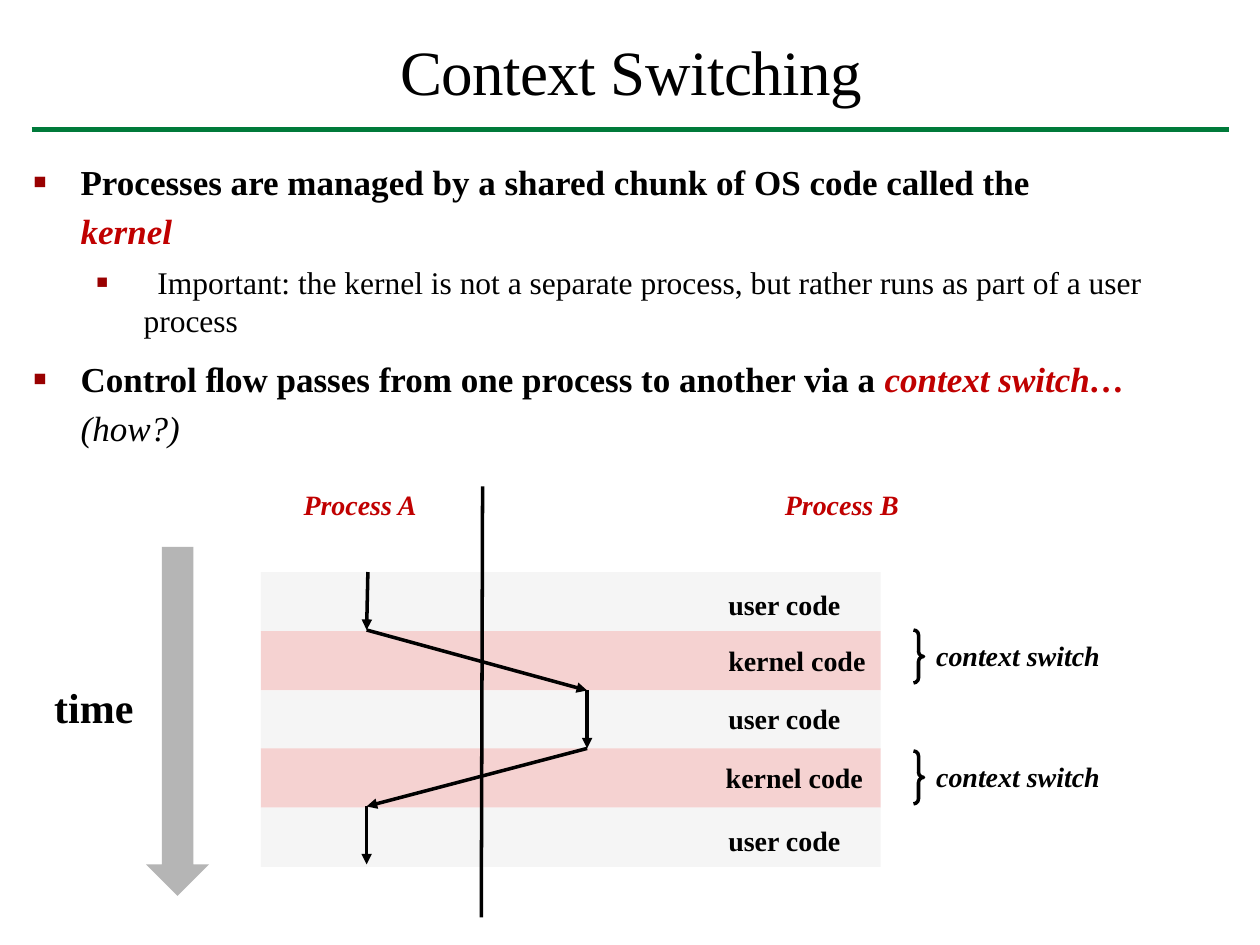
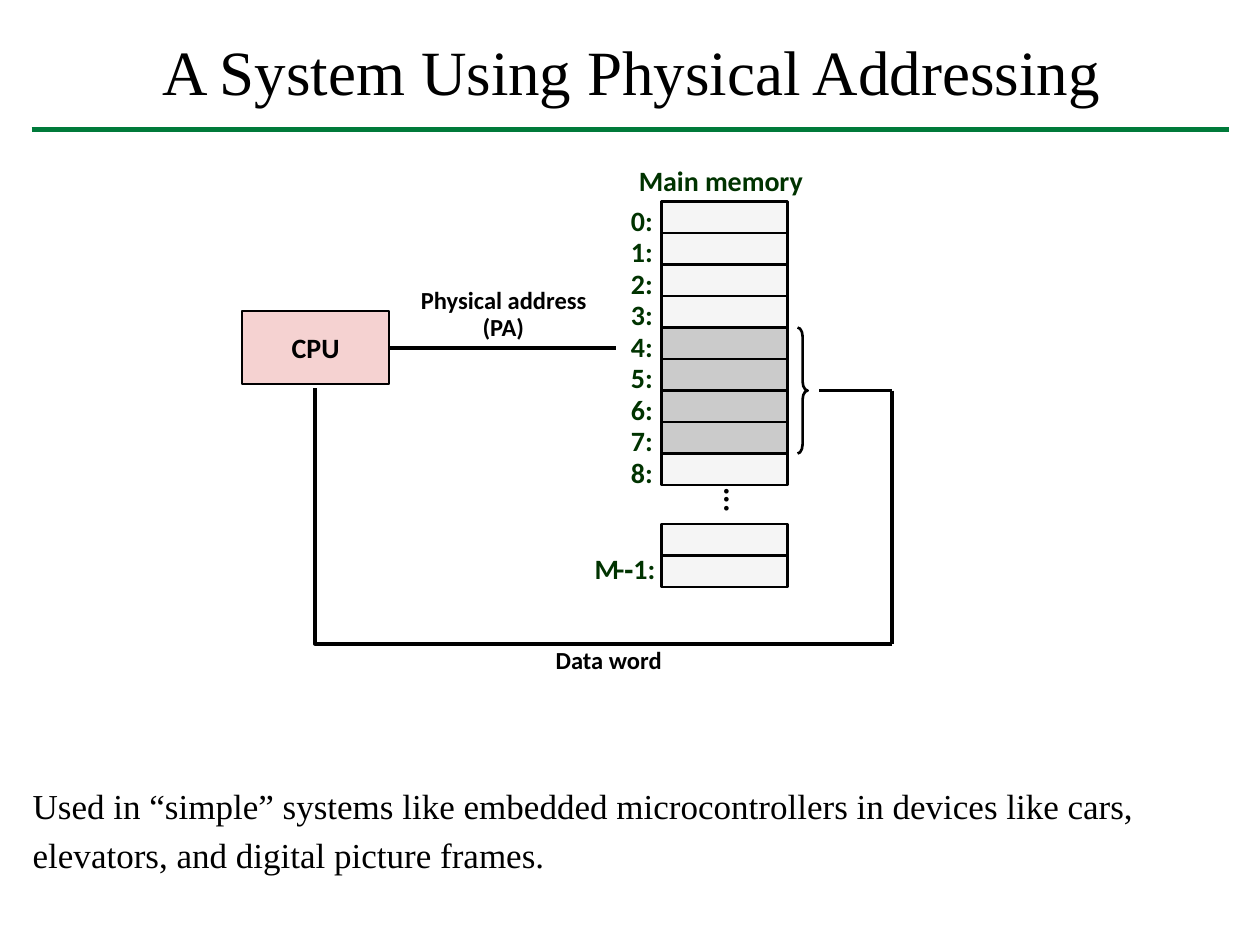
from lxml import etree
from pptx import Presentation
from pptx import util as u
from pptx.dml.color import RGBColor
from pptx.enum import shapes, text
from pptx.oxml import ns

BLACK = RGBColor(0x00, 0x00, 0x00)
RULE_GREEN = RGBColor(0x00, 0x7A, 0x3A)
MEMORY_GREEN = RGBColor(0x00, 0x33, 0x00)
ACCENT_RED = RGBColor(0xC0, 0x00, 0x00)
USER_GRAY = RGBColor(0xF5, 0xF5, 0xF5)
KERNEL_PINK = RGBColor(0xF5, 0xD2, 0xD1)
WORD_GRAY = RGBColor(0xCB, 0xCB, 0xCB)
TIME_GRAY = RGBColor(0xB5, 0xB5, 0xB5)
SERIF, SANS = "Times New Roman", "Calibri"
LEFT, CENTER, RIGHT = text.PP_ALIGN.LEFT, text.PP_ALIGN.CENTER, text.PP_ALIGN.RIGHT
RECTANGLE = shapes.MSO_SHAPE.RECTANGLE


def add_text(slide, words, left, top, width, height, size, font=SERIF, color=BLACK,
             bold=True, italic=False, align=LEFT, spacing=None):
    """Write one paragraph per line of words and return the text frame."""
    frame = slide.shapes.add_textbox(
        u.Inches(left), u.Inches(top), u.Inches(width), u.Inches(height)).text_frame
    frame.word_wrap = True
    frame.margin_left = frame.margin_right = frame.margin_bottom = 0
    frame.margin_top = u.Inches(0.01)
    frame.text = words
    for paragraph in frame.paragraphs:
        paragraph.alignment = align
        paragraph.line_spacing = spacing
        paragraph.font.name, paragraph.font.size = font, u.Pt(size)
        paragraph.font.bold, paragraph.font.italic = bold, italic
        paragraph.font.color.rgb = color
    return frame


def add_line(slide, x1, y1, x2, y2, color=BLACK, weight=2, arrow=False):
    line = slide.shapes.add_connector(
        shapes.MSO_CONNECTOR.STRAIGHT,
        u.Inches(x1), u.Inches(y1), u.Inches(x2), u.Inches(y2))
    line.line.color.rgb = color
    line.line.width = u.Pt(weight)
    if arrow:
        etree.SubElement(line.line._get_or_add_ln(), ns.qn("a:tailEnd"), type="triangle")
    etree.SubElement(line._element.spPr, ns.qn("a:effectLst"))


deck = Presentation()
deck.slide_width, deck.slide_height = u.Inches(10), u.Inches(7.5)

# Shared title and rule
slides = []
for title, tracking in (("Context Switching", -30), ("A System Using Physical Addressing", 0)):
    slide = deck.slides.add_slide(deck.slide_layouts[6])
    heading = add_text(slide, title, 0.26, 0.25, 9.5, 0.62, 36, bold=False, align=CENTER)
    heading.paragraphs[0].runs[0]._r.get_or_add_rPr().set("spc", str(tracking))
    add_line(slide, 0.25, 1.03, 9.75, 1.03, RULE_GREEN, 3)
    slides.append(slide)
switching, addressing = slides

# Slide 1: alternating bands of user and kernel code
band_tops = (4.54, 5.01, 5.48, 5.94, 6.41)
label_spots = ((5.78, 4.65), (5.78, 5.1), (5.78, 5.56), (5.76, 6.03), (5.78, 6.53))
for number, (band_top, label_spot) in enumerate(zip(band_tops, label_spots)):
    owner, shade = (("user", USER_GRAY), ("kernel", KERNEL_PINK))[number % 2]
    band = switching.shapes.add_shape(
        RECTANGLE, u.Inches(2.07), u.Inches(band_top), u.Inches(4.92), u.Inches(0.47))
    band.shadow.inherit = False
    band.fill.solid()
    band.fill.fore_color.rgb = shade
    band.line.fill.background()
    add_text(switching, f"{owner} code", *label_spot, 1.21, 0.29, 16)

# Bullets: level, space before, line spacing, runs of (words, colour, bold, italic)
points = (
    (0, 0, u.Pt(28), (
        ("Processes are managed by a shared chunk of OS code called the\v", BLACK, True, False),
        ("kernel", ACCENT_RED, True, True))),
    (1, 6.3, 1.01, (
        ("\tImportant: the kernel is not a separate process, but rather runs as part of a user "
         "process", BLACK, False, False),)),
    (0, 5.8, u.Pt(28.5), (
        ("Control ﬂow passes from one process to another via a ", BLACK, True, False),
        ("context switch… ", ACCENT_RED, True, True),
        ("(how?)", BLACK, False, True))),
)
body = switching.shapes.add_textbox(
    u.Inches(0.25), u.Inches(1.19), u.Inches(9.5), u.Inches(2.59)).text_frame
body.word_wrap = True
body.margin_left = body.margin_right = body.margin_bottom = 0
body.margin_top = u.Inches(0.03)
for number, (level, before, spacing, runs) in enumerate(points):
    paragraph = body.add_paragraph() if number else body.paragraphs[0]
    paragraph.level = level
    paragraph.space_before = u.Pt(before)
    paragraph.line_spacing = spacing
    props = paragraph._p.get_or_add_pPr()
    props.set("marL", str(u.Inches((0.39, 0.89)[level])))
    props.set("indent", str(u.Inches(-0.38)))
    bullet_color = etree.SubElement(props, ns.qn("a:buClr"))
    etree.SubElement(bullet_color, ns.qn("a:srgbClr"), val="990000")
    etree.SubElement(props, ns.qn("a:buSzPct"), val="120000")
    etree.SubElement(props, ns.qn("a:buFont"), typeface=SERIF)
    etree.SubElement(props, ns.qn("a:buChar"), char="▪")
    tabs = etree.SubElement(props, ns.qn("a:tabLst"))
    etree.SubElement(tabs, ns.qn("a:tab"), pos=str(u.Inches((0.39, 0.83)[level])), algn="l")
    paragraph.font.name = SERIF
    paragraph.font.size = u.Pt((20, 18)[level])
    for words, color, bold, italic in runs:
        run = paragraph.add_run()
        run.text = words.rstrip("\v")
        run.font.color.rgb = color
        run.font.bold, run.font.italic = bold, italic
        if words.endswith("\v"):
            paragraph.add_line_break()

# Process columns, divider and flow of control
for process, left in (("Process A", 2.41), ("Process B", 6.23)):
    add_text(switching, process, left, 3.86, 1.2, 0.29, 16, color=ACCENT_RED, italic=True)
add_line(switching, 3.83, 3.86, 3.82, 7.28)
flow = ((2.92, 4.54), (2.91, 5), (4.66, 5.48), (4.66, 5.94), (2.91, 6.4), (2.91, 6.86))
for start, end in zip(flow, flow[1:]):
    add_line(switching, *start, *end, arrow=True)

# Time arrow and context switch labels
add_text(switching, "time", 0.43, 5.4, 0.72, 0.43, 24)
time_arrow = switching.shapes.add_shape(
    shapes.MSO_SHAPE.DOWN_ARROW,
    u.Inches(1.16), u.Inches(4.34), u.Inches(0.5), u.Inches(2.77))
time_arrow.shadow.inherit = False
time_arrow.fill.solid()
time_arrow.fill.fore_color.rgb = TIME_GRAY
time_arrow.line.fill.background()
for top in (5.06, 6.02):
    add_text(switching, "context switch", 7.43, top, 1.45, 0.29, 16, italic=True)

# Slide 2: memory cells, with the addressed word shaded
cells = [(1.6 + 0.25 * row, WORD_GRAY if 4 <= row <= 7 else USER_GRAY) for row in range(9)]
cells += [(4.16, USER_GRAY), (4.41, USER_GRAY)]
boxes = [(5.25, top, 1, 0.25, shade, 1.5, "") for top, shade in cells]
boxes.append((1.92, 2.47, 1.17, 0.58, KERNEL_PINK, 1, "CPU"))
for left, top, width, height, shade, weight, label in boxes:
    box = addressing.shapes.add_shape(
        RECTANGLE, u.Inches(left), u.Inches(top), u.Inches(width), u.Inches(height))
    box.shadow.inherit = False
    box.fill.solid()
    box.fill.fore_color.rgb = shade
    box.line.color.rgb = BLACK
    box.line.width = u.Pt(weight)
    if label:
        box.text_frame.text = label
        name = box.text_frame.paragraphs[0]
        name.alignment = CENTER
        name.font.name, name.font.size, name.font.bold = SANS, u.Pt(16), True
        name.font.color.rgb = BLACK

# Memory labels
add_text(addressing, "Main memory", 5.07, 1.29, 1.5, 0.29, 16, SANS, MEMORY_GREEN)
add_text(addressing, "\n".join(f"{row}:" for row in range(9)), 4.89, 1.62, 0.29, 2.3, 16,
         SANS, MEMORY_GREEN, align=RIGHT, spacing=u.Pt(18))
last = add_text(addressing, "M-", 4.38, 4.37, 0.82, 0.29, 16, SANS, MEMORY_GREEN, align=RIGHT)
last.paragraphs[0].runs[0]._r.get_or_add_rPr().set("spc", "-190")
last.paragraphs[0].add_run().text = "‐1:"
dots = add_text(addressing, "...", 5.67, 3.87, 0.33, 0.23, 18, SANS)
dots.margin_top = 0
dots._txBody.bodyPr.set("vert", "vert")

# Address line and data path
add_text(addressing, "Physical address", 3.34, 2.25, 1.5, 0.26, 14, SANS)
add_text(addressing, "(PA)", 3.83, 2.47, 0.5, 0.26, 14, SANS)
add_text(addressing, "Data word", 4.41, 5.11, 1, 0.26, 14, SANS)
add_line(addressing, 3.08, 2.76, 4.89, 2.76)
add_line(addressing, 6.5, 3.1, 7.08, 3.1)
add_line(addressing, 7.08, 3.1, 7.08, 5.11)
corners = [(u.Inches(x), u.Inches(y)) for x, y in ((7.08, 5.11), (2.5, 5.11), (2.5, 3.08))]
outline = addressing.shapes.build_freeform(*corners[0])
outline.add_line_segments(corners[1:], close=False)
data_path = outline.convert_to_shape()
data_path.shadow.inherit = False
data_path.fill.background()
data_path.line.color.rgb = BLACK
data_path.line.width = u.Pt(2)

# Closing remark
add_text(addressing,
         "Used in “simple” systems like embedded microcontrollers in devices like cars, "
         "elevators, and digital picture frames.",
         0.26, 6.16, 9.5, 0.82, 20, bold=False, spacing=u.Pt(28))

# Braces: context switches on slide 1, addressed word on slide 2
for slide, left, top, height, weight, curve in (
        (switching, 7.25, 5, 0.42, 2, 0.5),
        (switching, 7.25, 5.96, 0.42, 2, 0.5),
        (addressing, 6.33, 2.6, 1, 1.5, 0.9)):
    brace = slide.shapes.add_shape(
        shapes.MSO_SHAPE.RIGHT_BRACE,
        u.Inches(left), u.Inches(top), u.Inches(0.08), u.Inches(height))
    brace.adjustments[0] = curve
    brace.shadow.inherit = False
    brace.fill.background()
    brace.line.color.rgb = BLACK
    brace.line.width = u.Pt(weight)

deck.save("out.pptx")
